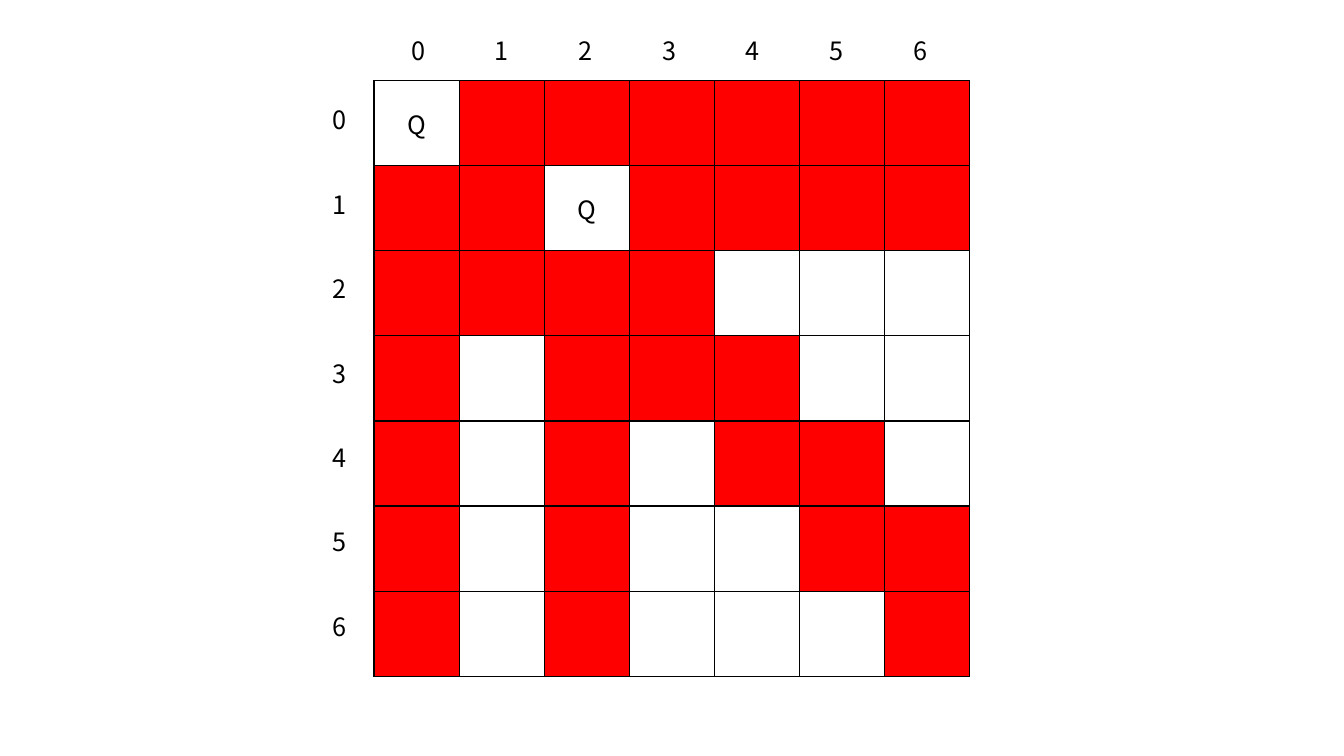
"""Build a slide of a 7 by 7 queens board with the attacked squares marked."""
from lxml import etree
from pptx import Presentation
from pptx.dml.color import RGBColor
from pptx.enum.text import MSO_ANCHOR, MSO_AUTO_SIZE, PP_ALIGN
from pptx.oxml.ns import qn
from pptx.util import Inches, Pt

QUEENS = [(0, 0), (1, 2)]
QUEEN_MARK = "Q"
BOARD_COUNT = 7

COLORS = {"attacked": "FF0000", "line": "000000", "text": "000000"}
FONT = "Noto Sans CJK KR"
FONT_SIZE = 18
MIDDLE = MSO_ANCHOR.MIDDLE
CENTER = PP_ALIGN.CENTER
FIT_SHAPE = MSO_AUTO_SIZE.SHAPE_TO_FIT_TEXT

BOARD_LEFT, BOARD_TOP, BOARD_SIZE = 3.71, 0.8, 5.91
LABEL_WIDTH, LABEL_HEIGHT = 0.34, 0.4
COLUMN_LABEL_LEFT, COLUMN_LABEL_TOP, COLUMN_LABEL_STEP = 3.98, 0.3, 0.83
ROW_LABEL_LEFT, ROW_LABEL_TOP, ROW_LABEL_STEP = 3.2, 0.99, 0.837


def is_attacked(row, column):
    """Tell whether any queen reaches the square."""
    return any(
        row == queen_row
        or column == queen_column
        or abs(row - queen_row) == abs(column - queen_column)
        for queen_row, queen_column in QUEENS
    )


def add_text(paragraph, text):
    """Add one run in the slide's font."""
    run = paragraph.add_run()
    run.text = text
    run.font.name = FONT
    run.font.size = Pt(FONT_SIZE)
    run.font.color.rgb = RGBColor.from_string(COLORS["text"])
    properties = run.font._element
    etree.SubElement(properties, qn("a:ea")).set("typeface", FONT)


def add_borders(cell):
    """Draw a thin line on all four sides of a cell."""
    properties = cell._tc.get_or_add_tcPr()
    for index, side in enumerate(("a:lnL", "a:lnR", "a:lnT", "a:lnB")):
        line = etree.Element(qn(side), w=str(Pt(1)))
        fill = etree.SubElement(line, qn("a:solidFill"))
        etree.SubElement(fill, qn("a:srgbClr"), val=COLORS["line"])
        properties.insert(index, line)


def add_board(slide):
    """Add the board as a table with its queens and attacked squares."""
    table = slide.shapes.add_table(
        BOARD_COUNT, BOARD_COUNT, Inches(BOARD_LEFT), Inches(BOARD_TOP),
        Inches(BOARD_SIZE), Inches(BOARD_SIZE),
    ).table
    table.first_row = False
    table.horz_banding = False
    for band in table.rows:
        band.height = Inches(BOARD_SIZE / BOARD_COUNT)
    for row in range(BOARD_COUNT):
        for column in range(BOARD_COUNT):
            cell = table.cell(row, column)
            cell.vertical_anchor = MIDDLE
            if (row, column) in QUEENS:
                paragraph = cell.text_frame.paragraphs[0]
                paragraph.alignment = CENTER
                add_text(paragraph, QUEEN_MARK)
                cell.fill.background()
            elif is_attacked(row, column):
                cell.fill.solid()
                cell.fill.fore_color.rgb = RGBColor.from_string(COLORS["attacked"])
            else:
                cell.fill.background()
            add_borders(cell)


def add_label(slide, text, left, top):
    """Add one row or column number."""
    shape = slide.shapes.add_textbox(
        Inches(left), Inches(top), Inches(LABEL_WIDTH), Inches(LABEL_HEIGHT))
    shape.text_frame.word_wrap = False
    shape.text_frame.auto_size = FIT_SHAPE
    add_text(shape.text_frame.paragraphs[0], text)


def main():
    """Build and save the presentation."""
    presentation = Presentation()
    presentation.slide_width = Inches(13.33)
    presentation.slide_height = Inches(7.5)
    slide = presentation.slides.add_slide(presentation.slide_layouts[6])
    add_board(slide)
    for index in range(BOARD_COUNT):
        add_label(slide, str(index),
                  COLUMN_LABEL_LEFT + index * COLUMN_LABEL_STEP, COLUMN_LABEL_TOP)
    for index in range(BOARD_COUNT):
        add_label(slide, str(index),
                  ROW_LABEL_LEFT, ROW_LABEL_TOP + index * ROW_LABEL_STEP)
    presentation.save("out.pptx")


if __name__ == "__main__":
    main()
